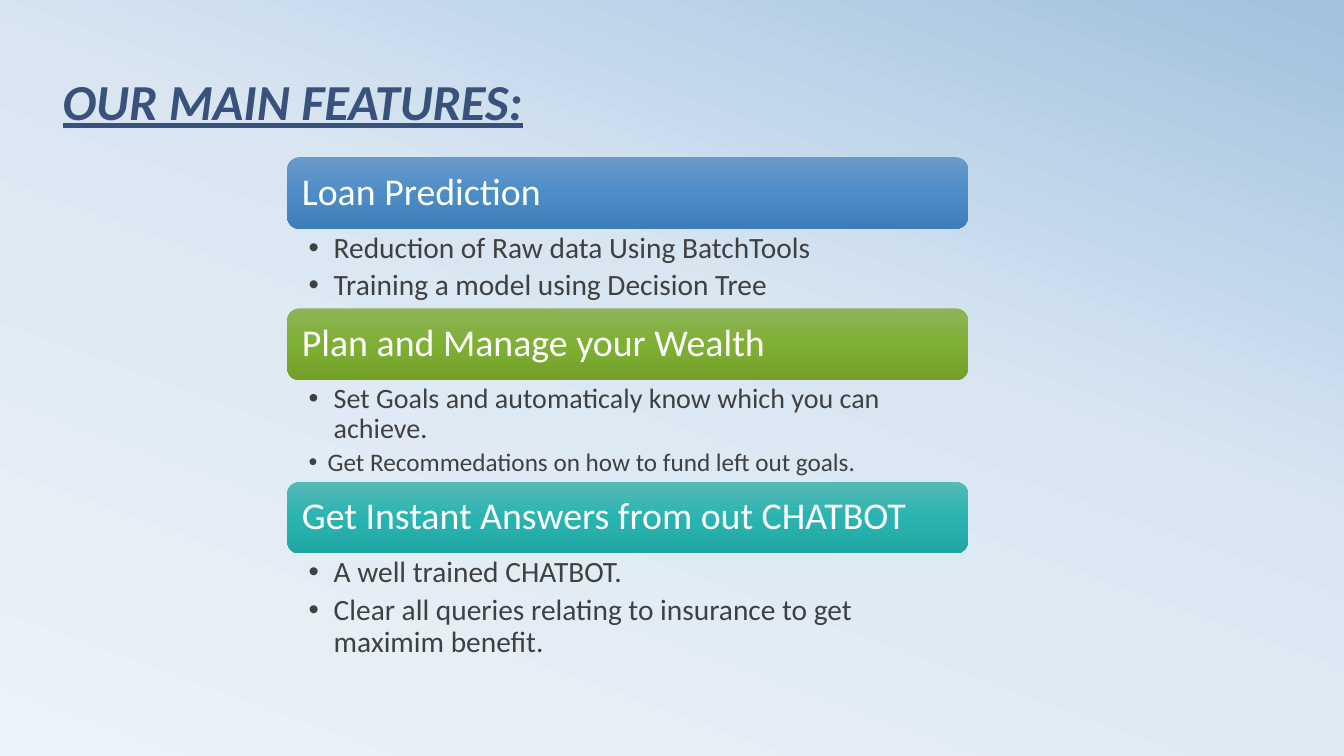
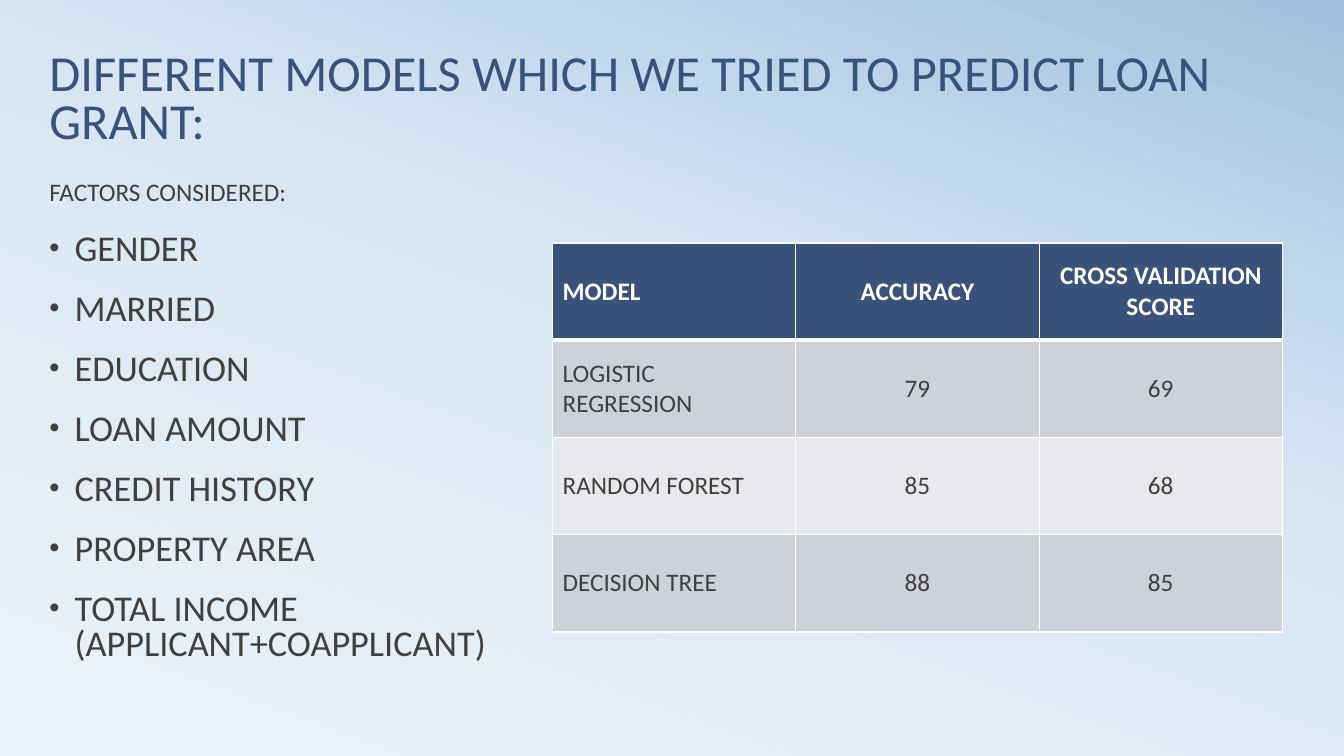
"""Build two slides on the main features and the loan prediction models."""
from copy import deepcopy

from lxml.etree import SubElement
from pptx import Presentation
from pptx.dml.color import RGBColor
from pptx.enum.shapes import MSO_SHAPE as Shape
from pptx.enum.text import MSO_ANCHOR as Anchor, MSO_AUTO_SIZE as AutoSize, PP_ALIGN as Align
from pptx.oxml.ns import qn
from pptx.util import Inches, Pt

NAVY = RGBColor(0x39, 0x52, 0x7B)
CHARCOAL = RGBColor(0x40, 0x40, 0x40)
WHITE = RGBColor(0xFF, 0xFF, 0xFF)
DARK_ROW = RGBColor(0xCE, 0xD1, 0xD7)
LIGHT_ROW = RGBColor(0xE8, 0xE9, 0xEC)
SKY = [RGBColor(0xEC, 0xF3, 0xF8), RGBColor(0xD9, 0xE6, 0xF2), RGBColor(0xA1, 0xC1, 0xDE)]
BLUES = [RGBColor(0x6A, 0x9A, 0xC9), RGBColor(0x4C, 0x8D, 0xC8), RGBColor(0x3E, 0x7E, 0xB8)]
GREENS = [RGBColor(0x8D, 0xB4, 0x59), RGBColor(0x7F, 0xAF, 0x33), RGBColor(0x72, 0xA0, 0x29)]
TEALS = [RGBColor(0x55, 0xB9, 0xB6), RGBColor(0x2A, 0xB4, 0xB1), RGBColor(0x1F, 0xA6, 0xA3)]
FONT = "Calibri"


def write(frame, text, size=18, color=CHARCOAL, bold=False, italic=False, underline=False,
          align=Align.LEFT, spacing=1.0, before=0, after=0, indent=0, bullet_size=100):
    """Add one formatted paragraph, bulleted when it has an indent."""
    para = frame.paragraphs[0]
    if para.runs:
        para = frame.add_paragraph()
    para.alignment = align
    para.line_spacing = spacing
    para.space_before = Pt(before)
    para.space_after = Pt(after)
    span = para.add_run()
    span.text = text
    font = span.font
    font.name, font.size, font.color.rgb = FONT, Pt(size), color
    font.bold, font.italic, font.underline = bold, italic, underline
    if indent:
        props = para._p.get_or_add_pPr()
        props.set("marL", str(Inches(indent)))
        props.set("indent", str(-Inches(indent)))
        SubElement(props, qn("a:buSzPct"), val=str(bullet_size * 1000))
        SubElement(props, qn("a:buFont"), typeface="Arial")
        SubElement(props, qn("a:buChar"), char="•")


def shade(fill, element, colors, middle, angle):
    """Give a fill a linear gradient of three colours."""
    fill.gradient()
    fill.gradient_angle = angle
    stops = element.find(".//" + qn("a:gsLst"))
    stops.append(deepcopy(stops[-1]))
    for stop, color, position in zip(fill.gradient_stops, colors, (0, middle, 1)):
        stop.color.rgb = color
        stop.position = position


deck = Presentation()
deck.slide_width, deck.slide_height = Inches(13.33), Inches(7.5)
master = deck.slide_master
shade(master.background.fill, master.element, SKY, 0.58, 70)

TITLES = [
    (5, "OUR MAIN FEATURES:", 0.52, 0.17, True),
    (1, "DIFFERENT MODELS WHICH WE TRIED TO PREDICT LOAN GRANT:", 0.39, 0.36, False),
]
for layout, text, left, top, strong in TITLES:
    page = deck.slides.add_slide(deck.slide_layouts[layout])
    title = page.shapes.title
    title.left, title.top = Inches(left), Inches(top)
    title.width, title.height = Inches(12), Inches(1.17)
    title.text_frame.auto_size = AutoSize.NONE
    title.text_frame.vertical_anchor = Anchor.BOTTOM
    write(title.text_frame, text, size=36, color=NAVY, spacing=0.8,
          bold=strong, italic=strong, underline=strong)
features_page, models_page = deck.slides

FEATURES = [
    ("Loan Prediction", BLUES, 0.79, [
        ("Reduction of Raw data Using BatchTools", 21, 0.25),
        ("Training a model using Decision Tree", 21, 0.25)]),
    ("Plan and Manage your Wealth", GREENS, 1.01, [
        ("Set Goals and automaticaly know which you can achieve.", 20, 0.25),
        ("Get Recommedations on how to fund left out goals.", 18, 0.19)]),
    ("Get Instant Answers from out CHATBOT", TEALS, 1.1, [
        ("A well trained CHATBOT.", 21, 0.25),
        ("Clear all queries relating to insurance to get maximim benefit.", 21, 0.25)]),
]
LEFT, WIDTH, BAR_HEIGHT = 2.85, 6.75, 0.71
top = 1.56
for heading, colors, height, points in FEATURES:
    bar = features_page.shapes.add_shape(
        Shape.ROUNDED_RECTANGLE, Inches(LEFT), Inches(top), Inches(WIDTH), Inches(BAR_HEIGHT))
    bar.shadow.inherit = False
    bar.line.fill.background()
    shade(bar.fill, bar.element, colors, 0.5, 270)
    frame = bar.text_frame
    frame.vertical_anchor = Anchor.MIDDLE
    frame.margin_left = frame.margin_right = Inches(0.11)
    write(frame, heading, size=27, color=WHITE, spacing=0.9)
    top += BAR_HEIGHT

    box = features_page.shapes.add_textbox(
        Inches(LEFT), Inches(top), Inches(WIDTH), Inches(height))
    frame = box.text_frame
    frame.word_wrap = True
    frame.margin_left = frame.margin_right = Inches(0.21)
    frame.margin_top = frame.margin_bottom = Inches(0.04)
    for text, size, indent in points:
        write(frame, text, size=size, spacing=0.9, after=size * 0.2, indent=indent)
    top += height

FACTORS = ["GENDER", "MARRIED", "EDUCATION", "LOAN AMOUNT", "CREDIT HISTORY", "PROPERTY AREA",
           "TOTAL INCOME (APPLICANT+COAPPLICANT)"]
body = models_page.placeholders[1]
body.left, body.top = Inches(0.39), Inches(2.27)
body.width, body.height = Inches(5.5), Inches(4.58)
body.text_frame.auto_size = AutoSize.NONE
for factor in FACTORS:
    write(body.text_frame, factor, size=25.9, spacing=0.8, before=18, indent=0.25, bullet_size=80)

ROWS = [
    ("MODEL", "ACCURACY", "CROSS VALIDATION SCORE"),
    ("LOGISTIC REGRESSION", "79", "69"),
    ("RANDOM FOREST", "85", "68"),
    ("DECISION TREE", "88", "85"),
]
table = models_page.shapes.add_table(
    len(ROWS), len(ROWS[0]), Inches(5.48), Inches(2.41), Inches(7.24), Inches(3.86)).table
for row, texts in enumerate(ROWS):
    header = row == 0
    for column, text in enumerate(texts):
        cell = table.cell(row, column)
        cell.vertical_anchor = Anchor.MIDDLE
        props = cell._tc.get_or_add_tcPr()
        for side in ("lnL", "lnR", "lnT", "lnB"):
            thick = (row, side) in ((0, "lnB"), (1, "lnT"))
            edge = SubElement(props, qn("a:" + side), w=str(Pt(3 if thick else 1)))
            SubElement(SubElement(edge, qn("a:solidFill")), qn("a:srgbClr"), val=str(WHITE))
        cell.fill.solid()
        cell.fill.fore_color.rgb = NAVY if header else DARK_ROW if row % 2 else LIGHT_ROW
        write(cell.text_frame, text, color=WHITE if header else CHARCOAL, bold=header,
              align=Align.CENTER if column else Align.LEFT)

label = models_page.shapes.add_textbox(Inches(0.39), Inches(1.7), Inches(2.81), Inches(0.4))
label.text_frame.word_wrap = False
label.text_frame.auto_size = AutoSize.SHAPE_TO_FIT_TEXT
write(label.text_frame, "FACTORS CONSIDERED:")

deck.save("out.pptx")
